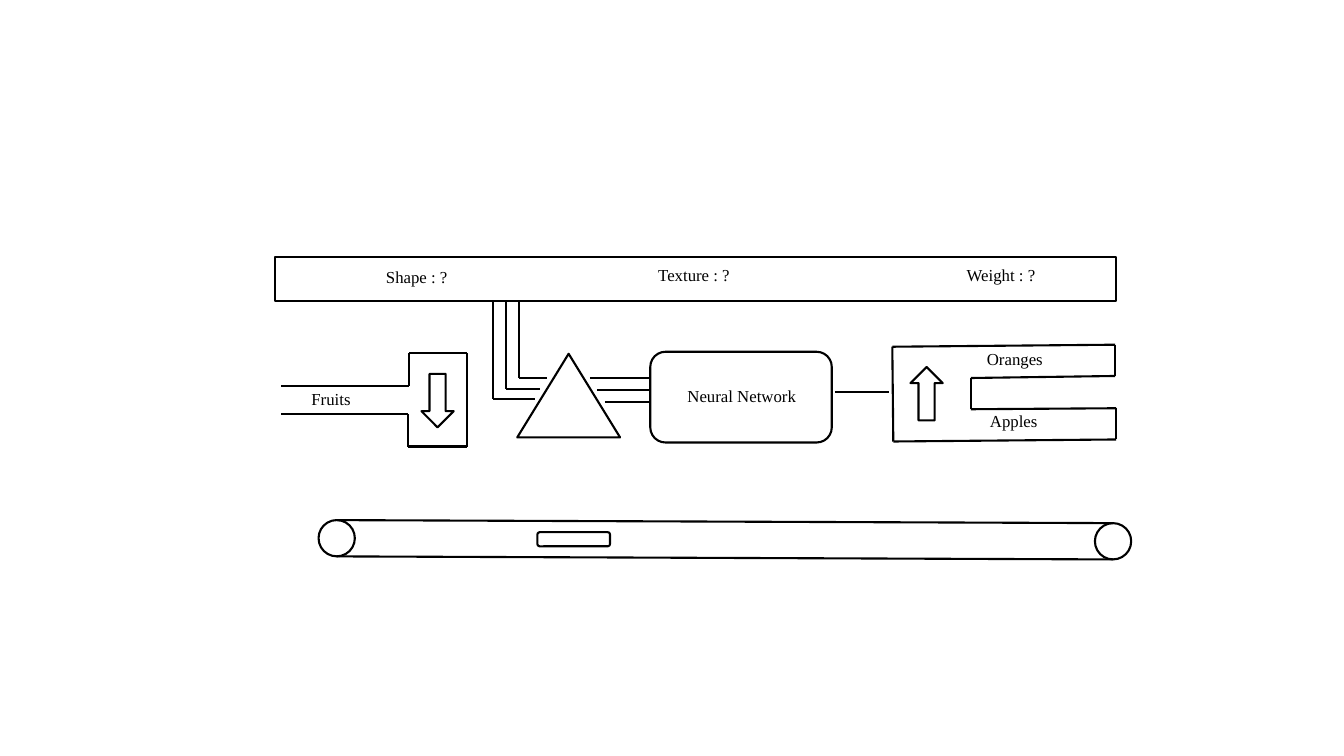
from dataclasses import dataclass
from itertools import pairwise

from lxml import etree
from pptx import Presentation
from pptx import util as u
from pptx.dml.color import RGBColor
from pptx.enum import shapes, text
from pptx.oxml import ns

COLUMNS, ROWS = 133.3, 75
INK, PAPER = "000000", "FFFFFF"
Point = tuple[float, float]

deck = Presentation()
deck.slide_width, deck.slide_height = u.Inches(13.33), u.Inches(7.5)
slide = deck.slides.add_slide(deck.slide_layouts[6])


@dataclass
class Part:
    kind: shapes.MSO_SHAPE
    column: float
    row: float
    width: float
    height: float
    rotation: float = 0


@dataclass
class Label:
    wording: str
    column: float
    row: float
    width: float


def across(columns: float) -> int:
    return round(deck.slide_width * columns / COLUMNS)


def down(rows: float) -> int:
    return round(deck.slide_height * rows / ROWS)


def colour(value: str) -> RGBColor:
    return RGBColor.from_string(value)


def outline(line) -> None:
    line.color.rgb = colour(INK)
    line.width = u.Pt(1.5)


def draw_part(part: Part) -> None:
    shape = slide.shapes.add_shape(part.kind, across(part.column), down(part.row),
                                   across(part.width), down(part.height))
    shape.rotation = part.rotation
    shape.shadow.inherit = False
    shape.fill.solid()
    shape.fill.fore_color.rgb = colour(PAPER)
    outline(shape.line)


def draw_path(*points: Point) -> None:
    for (x1, y1), (x2, y2) in pairwise(points):
        wire = slide.shapes.add_connector(shapes.MSO_CONNECTOR.STRAIGHT,
                                          across(x1), down(y1), across(x2), down(y2))
        outline(wire.line)
        etree.SubElement(wire._element.spPr, ns.qn("a:effectLst"))


def write(frame, wording: str, *, size: float = 12, font: str = "Times New Roman",
          ink: str = INK) -> None:
    frame.word_wrap = True
    frame.auto_size = text.MSO_AUTO_SIZE.SHAPE_TO_FIT_TEXT
    run = frame.paragraphs[0].add_run()
    run.text = wording
    run.font.size, run.font.name = u.Pt(size), font
    run.font.color.rgb = colour(ink)


def draw_label(label: Label) -> None:
    box = slide.shapes.add_textbox(across(label.column), down(label.row),
                                   across(label.width), down(3))
    write(box.text_frame, label.wording)


KIND = shapes.MSO_SHAPE
PARTS = [
    Part(KIND.RECTANGLE, 27.3, 25.5, 83.4, 4.4),
    Part(KIND.ISOSCELES_TRIANGLE, 51.3, 35.1, 10.2, 8.3),
    Part(KIND.FLOWCHART_ALTERNATE_PROCESS, 64.5, 34.9, 18, 9),
    Part(KIND.DOWN_ARROW, 41.8, 37.1, 3.2, 5.3),
    Part(KIND.DOWN_ARROW, 90.3, 36.4, 3.2, 5.3, 180),
    Part(KIND.OVAL, 31.6, 51.6, 3.6, 3.6),
    Part(KIND.OVAL, 108.6, 51.9, 3.6, 3.6),
    Part(KIND.ROUNDED_RECTANGLE, 53.3, 52.8, 7.2, 1.4),
]
LABELS = [
    Label("Shape : ?", 37.3, 26, 9.7),
    Label("Texture : ?", 64.3, 25.8, 9.7),
    Label("Weight : ?", 94.9, 25.8, 9.7),
    Label("Neural Network", 67.2, 37.8, 13.6),
    Label("Oranges", 96.9, 34.1, 13.6),
    Label("Apples", 97.2, 40.3, 13.6),
    Label("Fruits", 29.9, 38.1, 8.2),
]
FRUIT_INTAKE = [(27.9, 38.3), (40.6, 38.3), (40.6, 35), (46.3, 35),
                (46.3, 44.3), (40.5, 44.3), (40.5, 41.1), (27.9, 41.1)]
SORTER = [(88.5, 34.4), (88.6, 43.8), (110.7, 43.6), (110.7, 40.5), (96.3, 40.6),
          (96.3, 37.5), (110.6, 37.3), (110.6, 34.2), (88.5, 34.4)]
SENSOR_ENDS = [53.1, 53.6, 54.3]
NETWORK_INPUTS = [58.5, 59.2, 60]

for part in PARTS:
    draw_part(part)
draw_path(*FRUIT_INTAKE)
draw_path(*SORTER)
for wire, (sensor_end, network_input) in enumerate(zip(SENSOR_ENDS, NETWORK_INPUTS)):
    riser, bend, feed = 48.9 + 1.3 * wire, 39.6 - 1.05 * wire, 37.5 + 1.2 * wire
    draw_path((riser, 30), (riser, bend), (sensor_end, bend))
    draw_path((network_input, feed), (64.5, feed))
draw_path((82.8, 38.9), (88.2, 38.9))
for belt_edge in (51.6, 55.2):
    draw_path((33.4, belt_edge), (110.4, belt_edge + 0.3))
for label in LABELS:
    draw_label(label)

deck.save("out.pptx")
